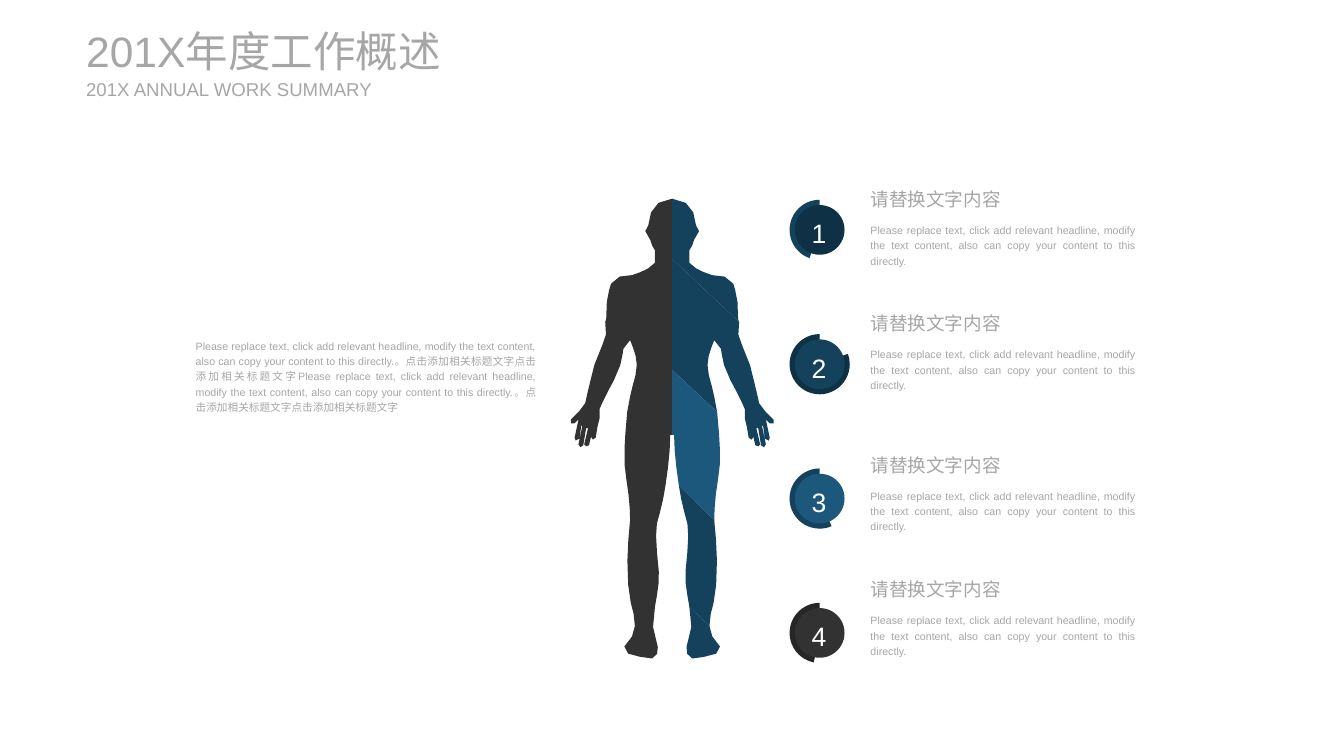
from math import dist

from pptx import Presentation
from pptx.dml.color import RGBColor
from pptx.enum.shapes import MSO_SHAPE
from pptx.enum.text import MSO_ANCHOR, MSO_AUTO_SIZE, PP_ALIGN
from pptx.util import Cm, Pt

PIE, OVAL = MSO_SHAPE.PIE, MSO_SHAPE.OVAL
TOP, MIDDLE = MSO_ANCHOR.TOP, MSO_ANCHOR.MIDDLE
LEFT, JUSTIFY = PP_ALIGN.LEFT, PP_ALIGN.JUSTIFY
FIT_SHAPE = MSO_AUTO_SIZE.SHAPE_TO_FIT_TEXT

GREY = RGBColor(0xA6, 0xA6, 0xA6)
WHITE = RGBColor(0xFF, 0xFF, 0xFF)
NAVY = RGBColor(0x0F, 0x31, 0x46)
BLUE = RGBColor(0x14, 0x42, 0x5D)
BRIGHT_BLUE = RGBColor(0x1B, 0x58, 0x7C)
CHARCOAL = RGBColor(0x32, 0x32, 0x32)
BLACK = RGBColor(0x26, 0x26, 0x26)

HEADING = "请替换文字内容"
NOTE = ("Please replace text, click add relevant headline, modify the text content, "
        "also can copy your content to this directly.")
INTRO = (NOTE + "。点击添加相关标题文字点击添加相关标题文字") * 2

ITEMS = [
    (109.8, BLUE, NAVY, 4.92),
    (339.74, NAVY, BLUE, 8.22),
    (66.67, BLUE, BRIGHT_BLUE, 11.98),
    (101.31, BLACK, CHARCOAL, 15.29),
]

FIGURE_HEIGHT = 481
CROWN, NECK, WAIST, CROTCH = (0, 0), (0, 63), (0, 179), (0, 247)
SHOULDER, HIP, KNEE, ANKLE = (70, 129), (47, 223), (44, 336), (39, 447)
INNER_KNEE = (7, 300)
HEAD = [
    (18, 1, 24, 13, 25, 28), (31, 26, 28, 41, 23, 43), (22, 48, 20, 51, 18, 54),
    (18, 67), (24, 74, 33, 77, 42, 80), (51, 81, 60, 80, 64, 89),
    (65, 93, 70, 105, 69, 126), SHOULDER,
]
ARM = [
    (69, 139, 68, 146, 73, 153), (82, 166, 90, 212, 91, 214), (97, 222), (106, 231),
    (106, 235), (102, 235), (98, 231), (102, 250), (101, 253), (97, 251), (95, 237),
    (94, 238), (98, 257), (96, 260), (93, 258), (90, 240), (88, 240), (92, 257),
    (90, 259), (87, 258), (83, 241), (85, 249), (83, 252), (80, 250), (78, 238),
    (76, 230), (76, 220), (74, 215, 65, 197, 61, 190), (51, 172, 52, 159, 51, 157),
    (44, 148), (41, 156, 37, 164, 37, 174), (37, 185, 42, 195, 44, 207), HIP,
]
OUTER_THIGH = [(49, 246), (50, 261, 51, 279, 48, 293), (45, 310, 44, 326, *KNEE)]
OUTER_CALF = [(46, 357, 48, 376, 46, 404), (44, 430, 39, 430, *ANKLE)]
FOOT = [
    (42, 458), (44, 464, 60, 474, 46, 476), (38, 478, 29, 481, 21, 481),
    (16, 480, 14, 473, 15, 469), (20, 448), (18, 427),
]
INNER_CALF = [(16, 414, 13, 402, 14, 390), (16, 371, 18, 349, 16, 340),
              (13, 329, 9, 315, *INNER_KNEE)]
INNER_THIGH = [(4, 281, 2, 262, 2, 247), CROTCH]

HALF_BODY = [CROWN, *HEAD, *ARM, *OUTER_THIGH, *OUTER_CALF, *FOOT, *INNER_CALF, *INNER_THIGH]
BODY_PARTS = [
    ([ANKLE, *FOOT], BLUE),
    ([INNER_KNEE, KNEE, *OUTER_CALF, (18, 427), *INNER_CALF], BLUE),
    ([NECK, SHOULDER, *ARM, WAIST], BLUE),
    ([WAIST, HIP, *OUTER_THIGH, INNER_KNEE, *INNER_THIGH], BRIGHT_BLUE),
    ([CROWN, *HEAD, NECK], BLUE),
]


def trace(outline):
    points = [outline[0]]
    for segment in outline[1:]:
        if len(segment) == 2:
            points.append(segment)
            continue
        x0, y0 = points[-1]
        x1, y1, x2, y2, x3, y3 = segment
        length = dist((x0, y0), (x3, y3))
        steps = 1 if length < 9 else 2 if length < 26 else 3
        for step in range(1, steps + 1):
            t = step / steps
            a, b, c, d = (1 - t) ** 3, 3 * t * (1 - t) ** 2, 3 * t * t * (1 - t), t ** 3
            points.append((a * x0 + b * x1 + c * x2 + d * x3,
                           a * y0 + b * y1 + c * y2 + d * y3))
    return points


def paint(shape, color):
    shape.shadow.inherit = False
    shape.fill.solid()
    shape.fill.fore_color.rgb = color
    shape.line.fill.background()


def write(shape, text, size, color=GREY, align=LEFT, spacing=1.0, anchor=MIDDLE, inset=None):
    frame = shape.text_frame
    frame.word_wrap = True
    frame.vertical_anchor = anchor
    if inset is not None:
        frame.margin_left = frame.margin_right = inset
        frame.margin_top = frame.margin_bottom = inset
    frame.text = text
    paragraph = frame.paragraphs[0]
    paragraph.alignment = align
    paragraph.line_spacing = spacing
    paragraph.font.size = Pt(size)
    paragraph.font.name = "Arial"
    paragraph.font.color.rgb = color


def add_text(slide, left, top, width, height, text, size, **style):
    box = slide.shapes.add_textbox(left, top, width, height)
    write(box, text, size, **style)
    box.text_frame.auto_size = FIT_SHAPE


def add_header(slide, left, top, width):
    title = slide.shapes.title
    title.left, title.top, title.width, title.height = left, top, width, Cm(1.37)
    write(title, "201X年度工作概述", 32, inset=0)
    add_text(slide, left, top + Cm(1.4), Cm(7.8), Cm(0.61),
             "201X ANNUAL WORK SUMMARY", 14, inset=0)


def add_figure(slide, center, top, height):
    unit = height / FIGURE_HEIGHT

    def add_part(shapes, outline, side, color):
        points = [(center + side * x * unit, top + y * unit) for x, y in trace(outline)]
        builder = shapes.build_freeform(*points[0])
        builder.add_line_segments(points[1:], close=True)
        paint(builder.convert_to_shape(), color)

    add_part(slide.shapes, HALF_BODY, -1, CHARCOAL)
    right_half = slide.shapes.add_group_shape()
    for outline, color in BODY_PARTS:
        add_part(right_half.shapes, outline, 1, color)


def add_badge(slide, left, top, size, number, start_angle, arc_color, disc_color):
    arc = slide.shapes.add_shape(PIE, left, top, size, size)
    arc.adjustments[0] = start_angle * 0.6
    arc.adjustments[1] = 270 * 0.6
    paint(arc, arc_color)
    disc = slide.shapes.add_shape(OVAL, left + Cm(0.14), top + Cm(0.14), Cm(1.32), Cm(1.32))
    paint(disc, disc_color)
    write(disc, str(number), 20, color=WHITE, align=JUSTIFY, spacing=1.2)


def add_caption(slide, left, top, width):
    add_text(slide, left, top, Cm(4.47), Cm(0.74), HEADING, 14, inset=Cm(0.08))
    add_text(slide, left, top + Cm(0.9), width, Cm(1.35), NOTE, 8,
             align=JUSTIFY, spacing=1.2, inset=Cm(0.08))


def main():
    deck = Presentation()
    deck.slide_width, deck.slide_height = Cm(35.71), Cm(20.09)
    slide = deck.slides.add_slide(deck.slide_layouts[5])
    add_header(slide, Cm(2.29), Cm(0.66), Cm(10.97))
    add_text(slide, Cm(4.95), Cm(8.84), Cm(9.55), Cm(2.31), INTRO, 8,
             align=JUSTIFY, spacing=1.2, anchor=TOP)
    add_figure(slide, Cm(17.86), Cm(5.28), Cm(12.22))
    for index, (angle, arc_color, disc_color, caption_top) in enumerate(ITEMS):
        add_badge(slide, Cm(20.98), Cm(5.31 + 3.57 * index), Cm(1.6),
                  index + 1, angle, arc_color, disc_color)
        add_caption(slide, Cm(23.05), Cm(caption_top), Cm(7.21))
    deck.save("out.pptx")


if __name__ == "__main__":
    main()
